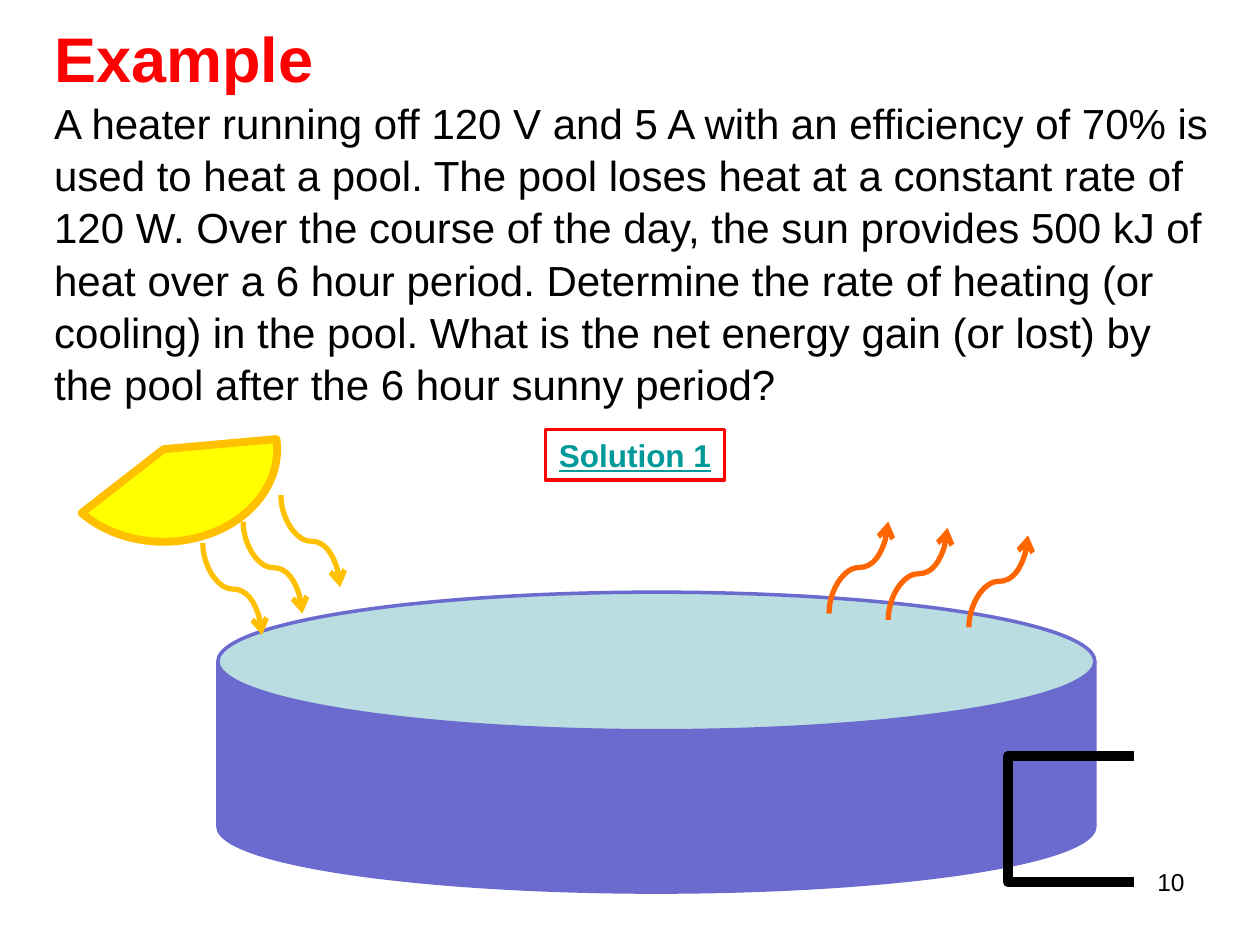
from dataclasses import dataclass

from lxml import etree
from pptx import Presentation
from pptx.dml.color import RGBColor
from pptx.enum.shapes import MSO_CONNECTOR, MSO_SHAPE
from pptx.enum.text import MSO_ANCHOR, MSO_AUTO_SIZE, PP_ALIGN
from pptx.oxml.ns import qn
from pptx.util import Inches, Pt


@dataclass(frozen=True)
class Theme:
    font: str = "Arial"
    heading: str = "FF0000"
    ink: str = "000000"
    link: str = "009999"
    pool: str = "6B6BCF"
    water: str = "BADDE1"
    sun: str = "FFFF00"
    sunlight: str = "FFC000"
    heat_loss: str = "FF6600"
    heading_size: int = 36
    body_size: int = 24
    link_size: int = 18
    number_size: int = 14


THEME = Theme()
PROBLEM = (
    "A heater running off 120 V and 5 A with an efficiency of 70% is used to heat "
    "a pool. The pool loses heat at a constant rate of 120 W. Over the course of "
    "the day, the sun provides 500 kJ of heat over a 6 hour period. Determine the "
    "rate of heating (or cooling) in the pool. What is the net energy gain (or "
    "lost) by the pool after the 6 hour sunny period?"
)
WAVE_RISE, WAVE_RUN = 0.73, 0.47
SUN_WAVES = [(2.23, 3.93), (1.93, 4.14), (1.61, 4.31)]
LOSS_WAVES = [(7.69, 4.98), (7.05, 4.92), (6.58, 4.87)]
HEATER_COIL = [(9.25, 5.91), (7.93, 5.95), (8.38, 6.12), (7.96, 6.27),
               (8.36, 6.41), (7.98, 6.6), (9.24, 6.58)]
# Transform attributes that turn a curve into a falling or rising wave
FALLING = {"rot": "16200000", "flipH": "1"}
RISING = {"rot": "5400000", "flipH": "1", "flipV": "1"}


def box(left, top, width, height):
    return [Inches(length) for length in (left, top, width, height)]


def add_text(paragraph, text, color, **formats):
    run = paragraph.add_run()
    run.text = text
    run.font.color.rgb = RGBColor.from_string(color)
    for name, value in {"name": THEME.font, **formats}.items():
        setattr(run.font, name, value)


def paint(shape, fill, line, width):
    shape.shadow.inherit = False
    if fill:
        shape.fill.solid()
        shape.fill.fore_color.rgb = RGBColor.from_string(fill)
    else:
        shape.fill.background()
    shape.line.color.rgb = RGBColor.from_string(line)
    shape.line.width = Pt(width)


def add_preset(slide, kind, place, fill, line, width, adjustments=()):
    shape = slide.shapes.add_shape(kind, *box(*place))
    for index, value in enumerate(adjustments):
        shape.adjustments[index] = value
    paint(shape, fill, line, width)
    return shape


def add_wave(slide, start, color, turn):
    """Draw a curved arrow from start, one run to the right and one rise along."""
    x, y = start
    center_x = x + WAVE_RUN / 2
    center_y = y + (WAVE_RISE if turn is FALLING else -WAVE_RISE) / 2
    left, top = center_x - WAVE_RISE / 2, center_y - WAVE_RUN / 2
    wave = slide.shapes.add_connector(
        MSO_CONNECTOR.CURVE, Inches(left), Inches(top),
        Inches(left + WAVE_RISE), Inches(top + WAVE_RUN))
    wave.line.color.rgb = RGBColor.from_string(color)
    wave.line.width = Pt(3)
    properties = wave._element.spPr
    for name, value in turn.items():
        properties.find(qn("a:xfrm")).set(name, value)
    etree.SubElement(properties.find(qn("a:ln")), qn("a:tailEnd"), type="arrow")
    etree.SubElement(properties, qn("a:effectLst"))


def add_problem(slide):
    title = slide.shapes.title
    title.left, title.top, title.width, title.height = box(0.33, 0.05, 9.42, 3.28)
    frame = title.text_frame
    for name, value in {"word_wrap": True, "auto_size": MSO_AUTO_SIZE.NONE,
                        "vertical_anchor": MSO_ANCHOR.MIDDLE}.items():
        setattr(frame, name, value)
    paragraph = frame.paragraphs[0]
    paragraph.alignment = PP_ALIGN.LEFT
    paragraph.line_spacing = 1.04
    add_text(paragraph, "Example", THEME.heading,
             size=Pt(THEME.heading_size), bold=True)
    paragraph.add_line_break()
    add_text(paragraph, PROBLEM, THEME.ink, size=Pt(THEME.body_size), bold=False)


def add_slide_number(slide):
    number = slide.shapes.add_textbox(*box(7.17, 6.83, 2.33, 0.52))
    number.text_frame.word_wrap = True
    paragraph = number.text_frame.paragraphs[0]
    paragraph.alignment = PP_ALIGN.RIGHT
    add_text(paragraph, "10", THEME.ink, size=Pt(THEME.number_size))


def add_heater(slide):
    builder = slide.shapes.build_freeform(*HEATER_COIL[0], scale=Inches(1))
    builder.add_line_segments(HEATER_COIL[1:], close=False)
    paint(builder.convert_to_shape(), None, THEME.ink, 6)


def add_solution_button(slide):
    button = add_preset(slide, MSO_SHAPE.RECTANGLE, (4.33, 3.41, 1.42, 0.4),
                        None, THEME.heading, 2)
    button.text_frame.word_wrap = False
    paragraph = button.text_frame.paragraphs[0]
    paragraph.alignment = PP_ALIGN.CENTER
    add_text(paragraph, "Solution 1", THEME.link, size=Pt(THEME.link_size),
             bold=True, underline=True)


def main():
    presentation = Presentation()
    presentation.slide_width, presentation.slide_height = Inches(10), Inches(7.5)
    slide = presentation.slides.add_slide(presentation.slide_layouts[5])

    add_problem(slide)
    add_slide_number(slide)

    # Pool with its water surface and heater
    add_preset(slide, MSO_SHAPE.CAN, (1.73, 4.74, 6.96, 2.34),
               THEME.pool, THEME.pool, 2, [0.445])
    add_preset(slide, MSO_SHAPE.OVAL, (1.73, 4.7, 6.96, 1.1),
               THEME.water, THEME.pool, 2)
    add_heater(slide)

    # Sun, its rays and the heat lost from the pool
    add_preset(slide, MSO_SHAPE.PIE, (0.4, 2.83, 1.8, 1.47),
               THEME.sun, THEME.sunlight, 4.5, [212.938, 85.284])
    for starts, color, turn in ((SUN_WAVES, THEME.sunlight, FALLING),
                                (LOSS_WAVES, THEME.heat_loss, RISING)):
        for start in starts:
            add_wave(slide, start, color, turn)

    add_solution_button(slide)
    presentation.save("out.pptx")


if __name__ == "__main__":
    main()
